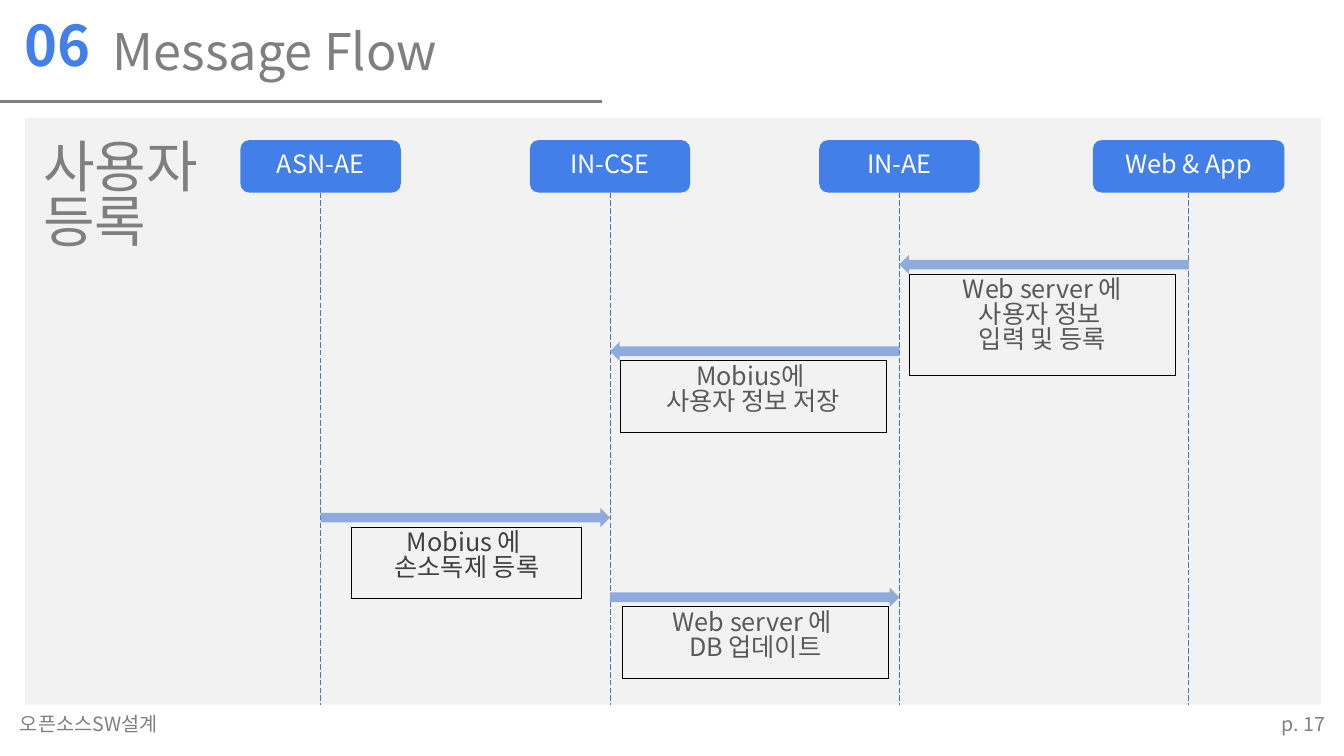
import dataclasses
import typing

import lxml.etree
import pptx
import pptx.dml.color
import pptx.enum.dml
import pptx.enum.shapes
import pptx.enum.text
import pptx.oxml.ns
import pptx.util

Inches = pptx.util.Inches
Align = pptx.enum.text.PP_ALIGN
Anchor = pptx.enum.text.MSO_ANCHOR
Kind = pptx.enum.shapes.MSO_SHAPE

FONT = "Noto Sans CJK KR"
BLUE = "427FE9"
GRAY = "7F7F7F"
PITCH = 2.87
FIRST = 3.18
FLOOR = 6.99


@dataclasses.dataclass
class Actor:
    name: str
    width: float = 1.59


@dataclasses.dataclass
class Message:
    start: int
    end: int
    top: float
    lines: list[str]
    left: float
    width: float = 2.64
    color: str = "595959"


@dataclasses.dataclass
class Label:
    lines: list[str]
    box: tuple[float, float, float, float]
    size: float
    color: str = GRAY
    bold: bool = False
    align: typing.Any = Align.LEFT
    anchor: typing.Any = Anchor.TOP
    wrap: bool = True


ACTORS = [Actor("ASN-AE"), Actor("IN-CSE"), Actor("IN-AE"), Actor("Web & App", 1.9)]

MESSAGES = [
    Message(3, 2, 2.53, ["Web server 에", "사용자 정보 ", "입력 및 등록"], 9.02),
    Message(2, 1, 3.39, ["Mobius에 ", "사용자 정보 저장"], 6.15),
    Message(0, 1, 5.04, ["Mobius 에 ", "손소독제 등록"], 3.49, 2.28, "404040"),
    Message(1, 2, 5.83, ["Web server 에 ", "DB 업데이트"], 6.17),
]

LABELS = [
    Label(["06"], (0.14, 0.17, 0.96, 0.77), 40, BLUE, True),
    Label(["Message Flow"], (1.02, 0.1, 4.86, 0.9), 36, anchor=Anchor.MIDDLE),
    Label(["사용자", "등록"], (0.33, 1.37, 3.2, 1.45), 40),
    Label(["p. 17"], (12.59, 7.06, 0.65, 0.34), 14, "808080", align=Align.RIGHT, wrap=False),
    Label(["오픈소스SW설계"], (0.1, 7.06, 1.67, 0.34), 14, "808080", wrap=False),
]


def rgb(code: str) -> pptx.dml.color.RGBColor:
    return pptx.dml.color.RGBColor.from_string(code)


def apply(target: typing.Any, values: dict[str, typing.Any]) -> None:
    for key, value in values.items():
        setattr(target, key, value)


def write(shape: typing.Any, lines: list[str], size: float, color: str,
          bold: bool = False, align: typing.Any = Align.CENTER,
          anchor: typing.Any = Anchor.TOP, wrap: bool = True) -> None:
    frame = shape.text_frame
    frame.text = "\n".join(lines)
    apply(frame, {"word_wrap": wrap, "vertical_anchor": anchor})
    for para in frame.paragraphs:
        apply(para, {"alignment": align, "line_spacing": 0.82})
        for run in para.runs:
            apply(run.font, {"name": FONT, "size": pptx.util.Pt(size), "bold": bold})
            run.font.color.rgb = rgb(color)
            props = run.font._element
            east = lxml.etree.SubElement(props, pptx.oxml.ns.qn("a:ea"))
            east.set("typeface", FONT)


def block(slide: typing.Any, kind: typing.Any, box: tuple[float, float, float, float],
          fill: str | None = None, edge: str | None = None) -> typing.Any:
    shape = slide.shapes.add_shape(kind, *map(Inches, box))
    shape.shadow.inherit = False
    if fill:
        shape.fill.solid()
        shape.fill.fore_color.rgb = rgb(fill)
    else:
        shape.fill.background()
    if edge:
        shape.line.color.rgb = rgb(edge)
        shape.line.width = pptx.util.Pt(0.75)
    else:
        shape.line.fill.background()
    return shape


def rule(slide: typing.Any, start: tuple[float, float], end: tuple[float, float],
         color: str, width: float) -> typing.Any:
    line = slide.shapes.add_connector(
        pptx.enum.shapes.MSO_CONNECTOR.STRAIGHT, *map(Inches, start + end))
    line.line.color.rgb = rgb(color)
    line.line.width = pptx.util.Pt(width)
    lxml.etree.SubElement(line._element.spPr, pptx.oxml.ns.qn("a:effectLst"))
    return line


def center(index: int) -> float:
    return FIRST + PITCH * index


def add_actor(slide: typing.Any, index: int, actor: Actor) -> None:
    mid = center(index)
    head = block(slide, Kind.ROUNDED_RECTANGLE,
                 (mid - actor.width / 2, 1.39, actor.width, 0.52), BLUE)
    write(head, [actor.name], 18, "FFFFFF", anchor=Anchor.MIDDLE)
    line = rule(slide, (mid, 1.91), (mid, FLOOR), "4472C4", 0.5)
    line.line.dash_style = pptx.enum.dml.MSO_LINE.LONG_DASH
    line.begin_connect(head, 2)


def add_message(slide: typing.Any, item: Message) -> None:
    left = center(min(item.start, item.end))
    arrow = block(slide, Kind.RIGHT_ARROW, (left, item.top, PITCH, 0.19), "8FAADC")
    arrow.rotation = 180 if item.end < item.start else 0
    tall = 0.11 + 0.3 * len(item.lines)
    note = block(slide, Kind.RECTANGLE,
                 (item.left, item.top + 0.19, item.width, tall), edge="000000")
    write(note, item.lines, 18, item.color)


def add_label(slide: typing.Any, item: Label) -> None:
    box = slide.shapes.add_textbox(*map(Inches, item.box))
    write(box, item.lines, item.size, item.color, item.bold,
          item.align, item.anchor, item.wrap)


def main() -> None:
    deck = pptx.Presentation()
    apply(deck, {"slide_width": Inches(13.33), "slide_height": Inches(7.5)})
    slide = deck.slides.add_slide(deck.slide_layouts[6])
    block(slide, Kind.RECTANGLE, (0.25, 1.17, 12.85, 5.82), "F2F2F2")
    rule(slide, (0, 1.01), (5.97, 1.01), GRAY, 2.25)
    for index, actor in enumerate(ACTORS):
        add_actor(slide, index, actor)
    for item in MESSAGES:
        add_message(slide, item)
    for label in LABELS:
        add_label(slide, label)
    deck.save("out.pptx")


if __name__ == "__main__":
    main()
